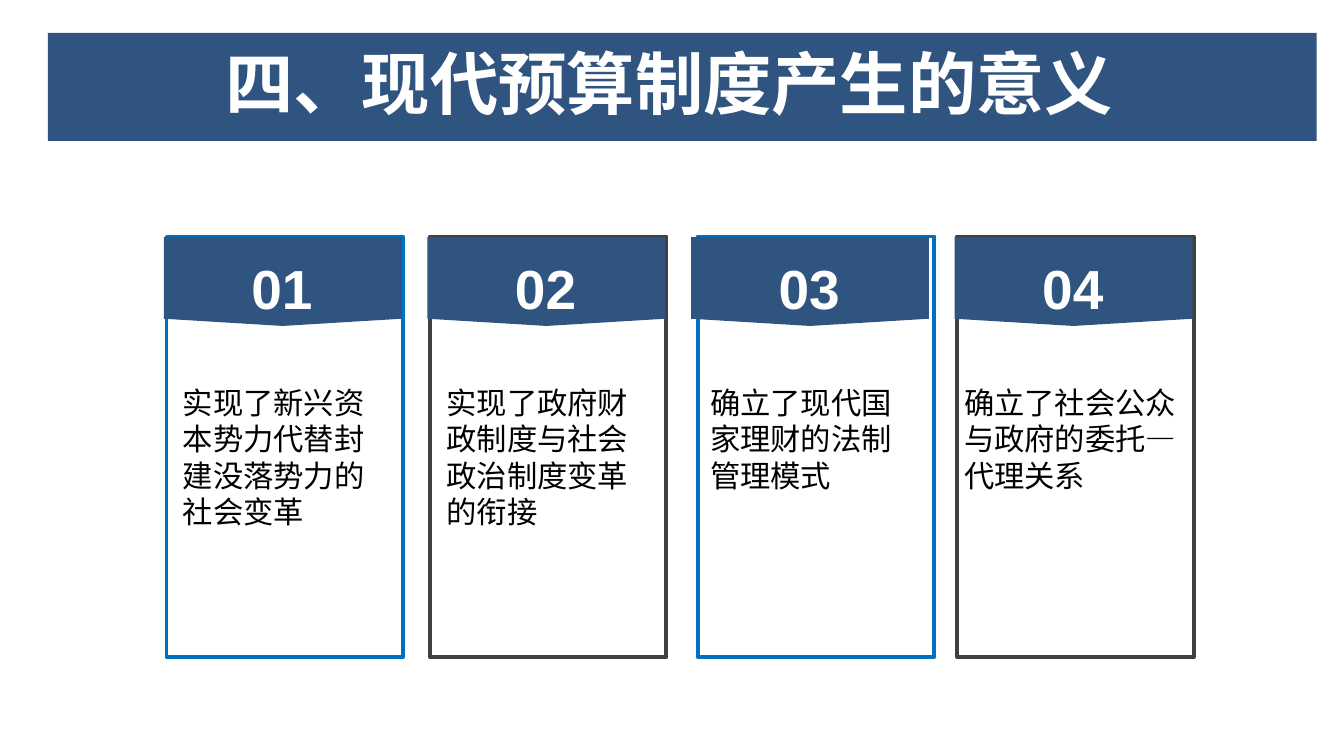
from dataclasses import dataclass

from pptx import Presentation
from pptx import util as u
from pptx.dml.color import RGBColor
from pptx.enum import shapes, text


@dataclass(frozen=True)
class Theme:
    """Colours, font and type sizes of the slide."""
    navy: str = "305480"
    blue: str = "0070C0"
    grey: str = "404040"
    white: str = "FFFFFF"
    black: str = "000000"
    font: str = "Arial"
    title: int = 36
    number: int = 29
    body: int = 16


THEME = Theme()
PITCH = 1.93
CARDS = [
    ("实现了新兴资本势力代替封建没落势力的社会变革", THEME.blue, 0, 0.12, 1.5),
    ("实现了政府财政制度与社会政治制度变革的衔接", THEME.grey, 0, 0.12, 1.5),
    ("确立了现代国家理财的法制管理模式", THEME.blue, 0.03, 0.12, 1.5),
    ("确立了社会公众与政府的委托—代理关系", THEME.grey, 0, 0.05, 1.57),
]


def add_box(slide, kind, box, fill, line=None):
    """Add a flat preset shape in the given box."""
    sp = slide.shapes.add_shape(kind, *map(u.Inches, box))
    sp.shadow.inherit = False
    sp.fill.solid()
    sp.fill.fore_color.rgb = RGBColor.from_string(fill)
    if line:
        sp.line.color.rgb = RGBColor.from_string(line)
        sp.line.width = u.Pt(2)
    else:
        sp.line.fill.background()
    return sp


def write(sp, words, size, color, bold=False, align=text.PP_ALIGN.LEFT, insets=(0.07, 0.04)):
    """Put one formatted paragraph into a shape."""
    tf = sp.text_frame
    tf.word_wrap = True
    tf.auto_size = text.MSO_AUTO_SIZE.NONE
    tf.vertical_anchor = text.MSO_ANCHOR.TOP
    tf.margin_left = tf.margin_right = u.Inches(insets[0])
    tf.margin_top = tf.margin_bottom = u.Inches(insets[1])
    p = tf.paragraphs[0]
    p.alignment = align
    p.space_before = u.Pt(0)
    r = p.add_run()
    r.text = words
    r.font.name = THEME.font
    r.font.size = u.Pt(size)
    r.font.bold = bold
    r.font.color.rgb = RGBColor.from_string(color)


def add_title(slide, words, box):
    """Lay the title placeholder over a coloured band."""
    x, y, w, h = box
    band = add_box(slide, shapes.MSO_SHAPE.RECTANGLE, box, THEME.navy)
    sp = slide.shapes.title
    band._element.addnext(sp._element)
    sp.left, sp.top = u.Inches(x + 1.23), u.Inches(y + 0.02)
    sp.width, sp.height = u.Inches(w - 1.62), u.Inches(h - 0.11)
    write(sp, words, THEME.title, THEME.white, bold=True)


def add_card(slide, number, card, box):
    """Draw a framed card with a numbered flag and its text."""
    x, y, w, h = box
    words, line, shift, indent, width = card
    add_box(slide, shapes.MSO_SHAPE.RECTANGLE, (x + shift, y, w, h), THEME.white, line)
    mid, tall, wide = x + 0.85, 0.65, 1.74
    flag = add_box(slide, shapes.MSO_SHAPE.PENTAGON,
                   (mid - tall / 2, y + 0.33 - wide / 2, tall, wide), THEME.navy)
    flag.rotation = 90
    flag.adjustments[0] = 0.081
    label = slide.shapes.add_textbox(*map(u.Inches, (mid - 0.49, y + 0.09, 0.97, 0.57)))
    write(label, f"{number:02}", THEME.number, THEME.white, bold=True,
          align=text.PP_ALIGN.CENTER)
    body = slide.shapes.add_textbox(*map(u.Inches, (x + indent, y + 1.08, width, 1.08)))
    write(body, words, THEME.body, THEME.black, insets=(0, 0))


def main():
    """Build the slide and save it."""
    prs = Presentation()
    prs.slide_width, prs.slide_height = u.Inches(9.84), u.Inches(5.51)
    slide = prs.slides.add_slide(prs.slide_layouts[5])
    for i, card in enumerate(CARDS):
        add_card(slide, i + 1, card, (1.22 + PITCH * i, 1.73, 1.73, 3.08))
    add_title(slide, "四、现代预算制度产生的意义", (0.35, 0.24, 9.29, 0.79))
    prs.save("out.pptx")


if __name__ == "__main__":
    main()
